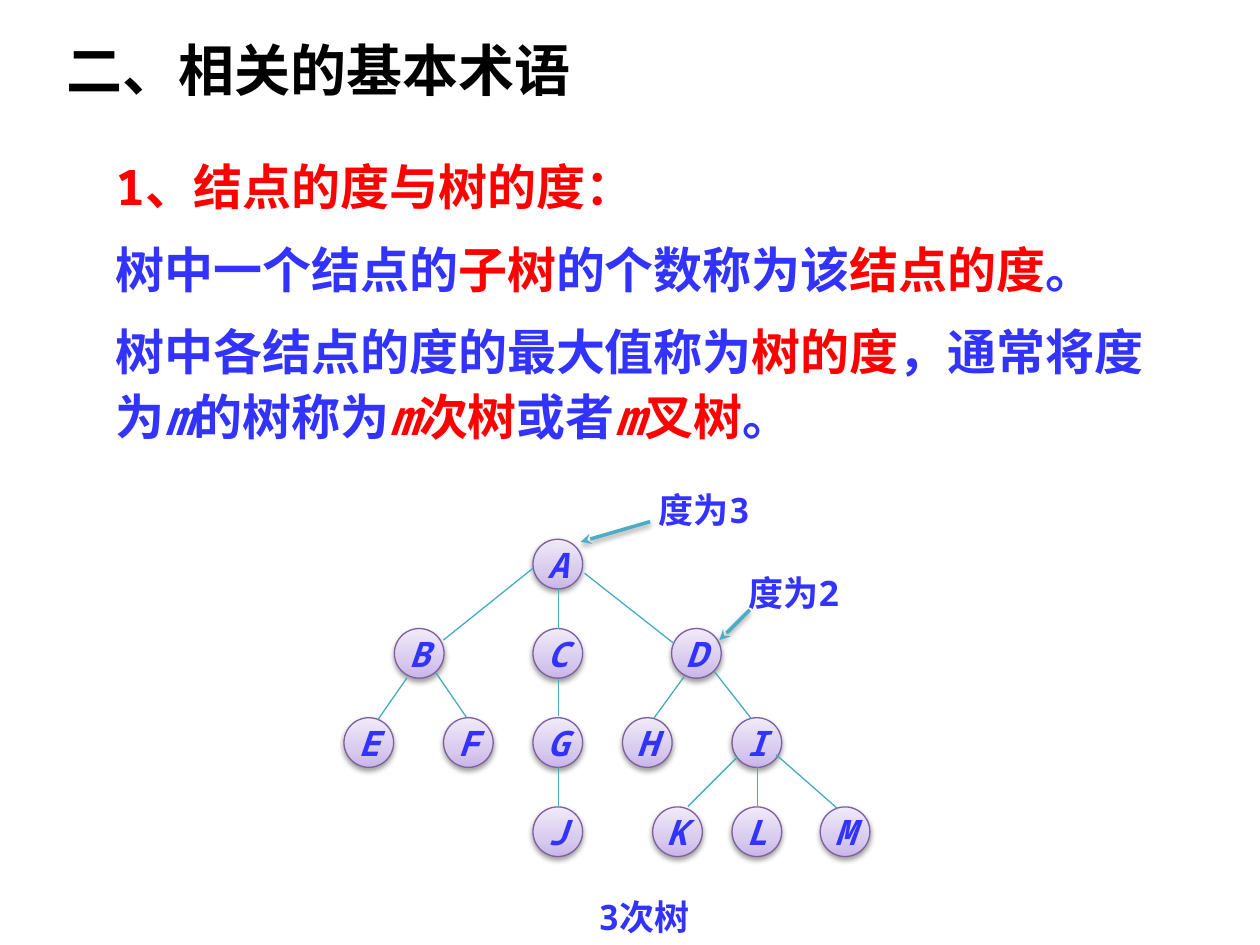
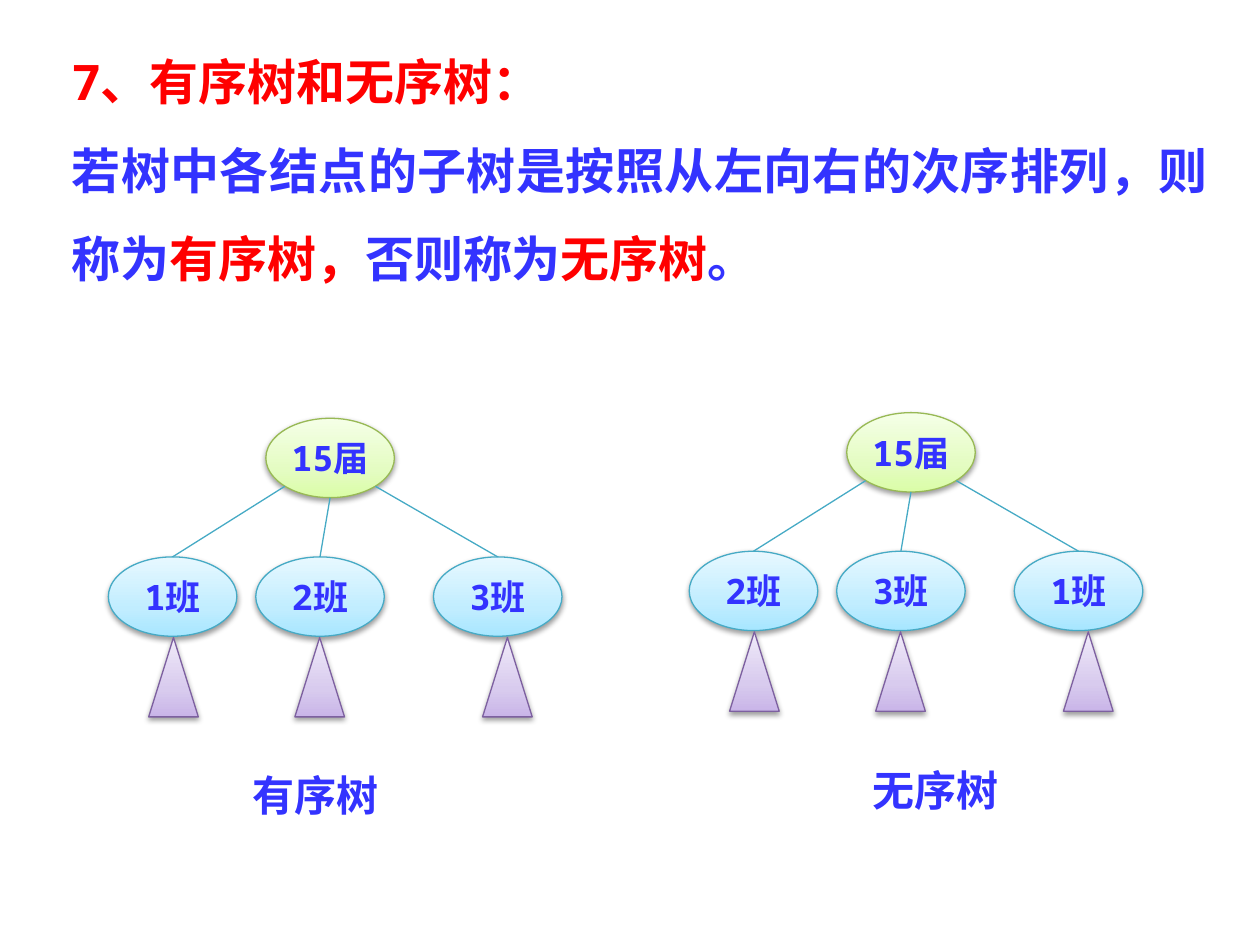
import pptx
import pptx.util
import pptx.oxml
import pptx.oxml.ns
import pptx.dml.color
import pptx.enum.shapes
import pptx.enum.text

RGBColor = pptx.dml.color.RGBColor
SHAPE = pptx.enum.shapes.MSO_SHAPE
ALIGN = pptx.enum.text.PP_ALIGN
ANCHOR = pptx.enum.text.MSO_ANCHOR
Pt = pptx.util.Pt

BLACK = RGBColor(0x00, 0x00, 0x00)
RED = RGBColor(0xFF, 0x00, 0x00)
BLUE = RGBColor(0x33, 0x33, 0xFF)
TEAL = RGBColor(0x46, 0xAA, 0xC5)
ARROW_TEAL = RGBColor(0x4B, 0xAC, 0xC6)
PURPLE = RGBColor(0x7D, 0x60, 0xA0)
GREEN = RGBColor(0x98, 0xB9, 0x55)
GRADIENTS = {
    PURPLE: (RGBColor(0xC9, 0xB5, 0xE8), RGBColor(0xD8, 0xCB, 0xEE), RGBColor(0xF0, 0xEA, 0xF9)),
    GREEN: (RGBColor(0xDA, 0xFD, 0xA7), RGBColor(0xE4, 0xFC, 0xC2), RGBColor(0xF5, 0xFF, 0xE7)),
    TEAL: (RGBColor(0xA7, 0xE6, 0xFF), RGBColor(0xC1, 0xED, 0xFF), RGBColor(0xE7, 0xF8, 0xFF)),
}

MONO = "Noto Sans Mono"
CJK = "Noto Sans CJK SC"
CJK_HEADING = "Noto Sans CJK JP"
NAMESPACE = pptx.oxml.ns.nsdecls("a")
SHADOW = (
    f'<a:effectLst {NAMESPACE}><a:outerShdw blurRad="40000" dist="20000" dir="5400000" '
    'rotWithShape="0"><a:srgbClr val="000000"><a:alpha val="38000"/></a:srgbClr>'
    "</a:outerShdw></a:effectLst>"
)

presentation = pptx.Presentation()
presentation.slide_width = pptx.util.Inches(10)
presentation.slide_height = pptx.util.Inches(7.5)
COLUMN = presentation.slide_width / 100
ROW = presentation.slide_height / 75


def grid(left, top, width, height):
    return [int(left * COLUMN), int(top * ROW), int(width * COLUMN), int(height * ROW)]


def write(frame, paragraphs, size, font=MONO, align=ALIGN.CENTER, italic=False, spacing=None, before=0):
    for index, runs in enumerate(paragraphs):
        paragraph = frame.paragraphs[0] if index == 0 else frame.add_paragraph()
        paragraph.alignment = align
        if spacing:
            paragraph.line_spacing = spacing
        if index and before:
            paragraph.space_before = Pt(before)
        paragraph.font.name = font
        paragraph.font.size = Pt(size)
        paragraph.font.bold = True
        paragraph.font.italic = italic
        paragraph.font.color.rgb = runs[0][1]
        defaults = paragraph._p.pPr.find(pptx.oxml.ns.qn("a:defRPr"))
        defaults.append(pptx.oxml.parse_xml(f'<a:ea {NAMESPACE} typeface="{CJK}"/>'))
        for text, color in runs:
            run = paragraph.add_run()
            run.text = text
            if color != runs[0][1]:
                run.font.color.rgb = color
            if text == "m":
                run.font.italic = True


degree_slide = presentation.slides.add_slide(presentation.slide_layouts[5])
order_slide = presentation.slides.add_slide(presentation.slide_layouts[6])

title = degree_slide.shapes.title
title.left, title.top, title.width, title.height = grid(4.3, 2.1, 78.8, 6.7)
title.text_frame.vertical_anchor = ANCHOR.MIDDLE
write(title.text_frame, [[("二、相关的基本术语", BLACK)]], 32, CJK, ALIGN.LEFT)

degree_text = [
    [("1、", RED), ("结点的度与树的度：", RED)],
    [("树中一个结点的", BLUE), ("子树", RED), ("的个数称为该", BLUE), ("结点的度", RED), ("。", BLUE)],
    [
        ("树中各结点的度的最大值称为", BLUE), ("树的度", RED), ("，通常将度为", BLUE), ("m", BLUE),
        ("的树称为", BLUE), ("m", RED), ("次树", RED), ("或者", BLUE), ("m", RED), ("叉树", RED), ("。", BLUE),
    ],
]
order_text = [
    [("7、", RED), ("有序树和无序树", RED), ("：", RED)],
    [
        ("若树中各结点的子树是按照从左向右的次序排列，则称为", BLUE), ("有序树，", RED),
        ("否则称为", BLUE), ("无序树", RED), ("。", BLUE),
    ],
]
for slide, area, paragraphs, align, spacing, before in [
    (degree_slide, (8.2, 11.5, 84, 24.2), degree_text, ALIGN.LEFT, 1.1, 10),
    (order_slide, (4.7, 1.3, 92.2, 22.2), order_text, ALIGN.JUSTIFY, 1.5, 0),
]:
    frame = slide.shapes.add_textbox(*grid(*area)).text_frame
    frame.word_wrap = True
    write(frame, paragraphs, 28, align=align, spacing=spacing, before=before)
    frame.paragraphs[0].runs[1].font.name = CJK_HEADING

captions = [
    (degree_slide, (50, 38.3, 11.8, 4.4), "度为3", 20, MONO),
    (degree_slide, (57.1, 44.9, 11.8, 4.4), "度为2", 20, MONO),
    (degree_slide, (43.7, 70.6, 14.8, 4.4), "3次树", 20, MONO),
]
nodes = []
links = []

NODE_SIZE = 3.94
LEVEL_TOP, LEVEL_STEP = 42.8, 7.08
levels = [
    [("A", 42.3)],
    [("B", 31.3), ("C", 42.3), ("D", 53.3)],
    [("E", 27.3), ("F", 35.2), ("G", 42.3), ("H", 49.4), ("I", 58.1)],
    [("J", 42.3), ("K", 51.8), ("L", 58.1), ("M", 65.1)],
]
for level, letters in enumerate(levels):
    for letter, left in letters:
        area = (left, LEVEL_TOP + level * LEVEL_STEP, NODE_SIZE, NODE_SIZE)
        nodes.append((degree_slide, SHAPE.OVAL, area, PURPLE, letter, True))

for ends in [
    (42.3, 45.1, 35.2, 50.8), (44.3, 46.7, 44.3, 49.9), (46.4, 45.5, 53.4, 51),
    (32.3, 53.8, 30, 57.1), (34.6, 53.4, 37, 56.9), (44.3, 54, 44.3, 56.8),
    (54.3, 53.7, 51.9, 57), (56.7, 53.3, 59.6, 57), (44.3, 60.9, 44.3, 64),
    (58.5, 60.1, 54.6, 64), (60.1, 60.9, 60.1, 64), (61.6, 59.9, 66.5, 64.2),
]:
    links.append((degree_slide, ends, False))
links.append((degree_slide, (51.6, 41.4, 46.1, 43), True))
links.append((degree_slide, (59.5, 48.4, 57.1, 50.8), True))

OVAL_WIDTH, OVAL_HEIGHT = 10.2, 6.3
CLASS_LEFTS = (8.6, 20.3, 34.4)
TRIANGLE_LEFTS = (11.8, 23.4, 38.3)
ROOT_EXITS = ((22.6, 38.6), (26.2, 39.5), (29.8, 38.6))
for x, y, caption_left, caption, classes in [
    (0, 0, 18, "有序树", ("1班", "2班", "3班")),
    (46.1, -0.45, 67.2, "无序树", ("2班", "3班", "1班")),
]:
    root_area = (x + 21.1, y + 33.2, OVAL_WIDTH, OVAL_HEIGHT)
    nodes.append((order_slide, SHAPE.OVAL, root_area, GREEN, "15届", False))
    for name, left, triangle_left, (exit_x, exit_y) in zip(classes, CLASS_LEFTS, TRIANGLE_LEFTS, ROOT_EXITS):
        class_area = (x + left, y + 44.2, OVAL_WIDTH, OVAL_HEIGHT)
        triangle_area = (x + triangle_left, y + 50.6, NODE_SIZE, OVAL_HEIGHT)
        nodes.append((order_slide, SHAPE.OVAL, class_area, TEAL, name, False))
        nodes.append((order_slide, SHAPE.ISOSCELES_TRIANGLE, triangle_area, PURPLE, "", False))
        ends = (x + exit_x, y + exit_y, x + left + OVAL_WIDTH / 2, y + 44.2)
        links.append((order_slide, ends, False))
    captions.append((order_slide, (caption_left, y + 60.6, 14.1, 5), caption, 24, CJK))

for slide, area, text, size, font in captions:
    frame = slide.shapes.add_textbox(*grid(*area)).text_frame
    frame.word_wrap = True
    write(frame, [[(text, BLUE)]], size, font)

for slide, kind, area, outline, text, italic in nodes:
    shape = slide.shapes.add_shape(kind, *grid(*area))
    stops = "".join(
        f'<a:gs pos="{position}"><a:srgbClr val="{color}"/></a:gs>'
        for position, color in zip((0, 35000, 100000), GRADIENTS[outline])
    )
    gradient = pptx.oxml.parse_xml(
        f'<a:gradFill {NAMESPACE} rotWithShape="1"><a:gsLst>{stops}</a:gsLst>'
        '<a:lin ang="16200000" scaled="0"/></a:gradFill>'
    )
    properties = shape._element.spPr
    properties.insert(2, gradient)
    shape.line.color.rgb = outline
    shape.line.width = Pt(0.75)
    properties.append(pptx.oxml.parse_xml(SHADOW))
    if text:
        frame = shape.text_frame
        frame.margin_left = frame.margin_right = frame.margin_top = frame.margin_bottom = 0
        frame.vertical_anchor = ANCHOR.MIDDLE
        frame.word_wrap = False
        write(frame, [[(text, BLUE)]], 20, italic=italic)

for slide, ends, arrow in links:
    line = slide.shapes.add_connector(pptx.enum.shapes.MSO_CONNECTOR.STRAIGHT, *grid(*ends))
    line.line.color.rgb = ARROW_TEAL if arrow else TEAL
    line.line.width = Pt(2 if arrow else 0.75)
    if arrow:
        line.line._get_or_add_ln().append(pptx.oxml.parse_xml(f'<a:tailEnd {NAMESPACE} type="stealth"/>'))
    effects = SHADOW if arrow else f"<a:effectLst {NAMESPACE}/>"
    line._element.spPr.append(pptx.oxml.parse_xml(effects))

presentation.save("out.pptx")
